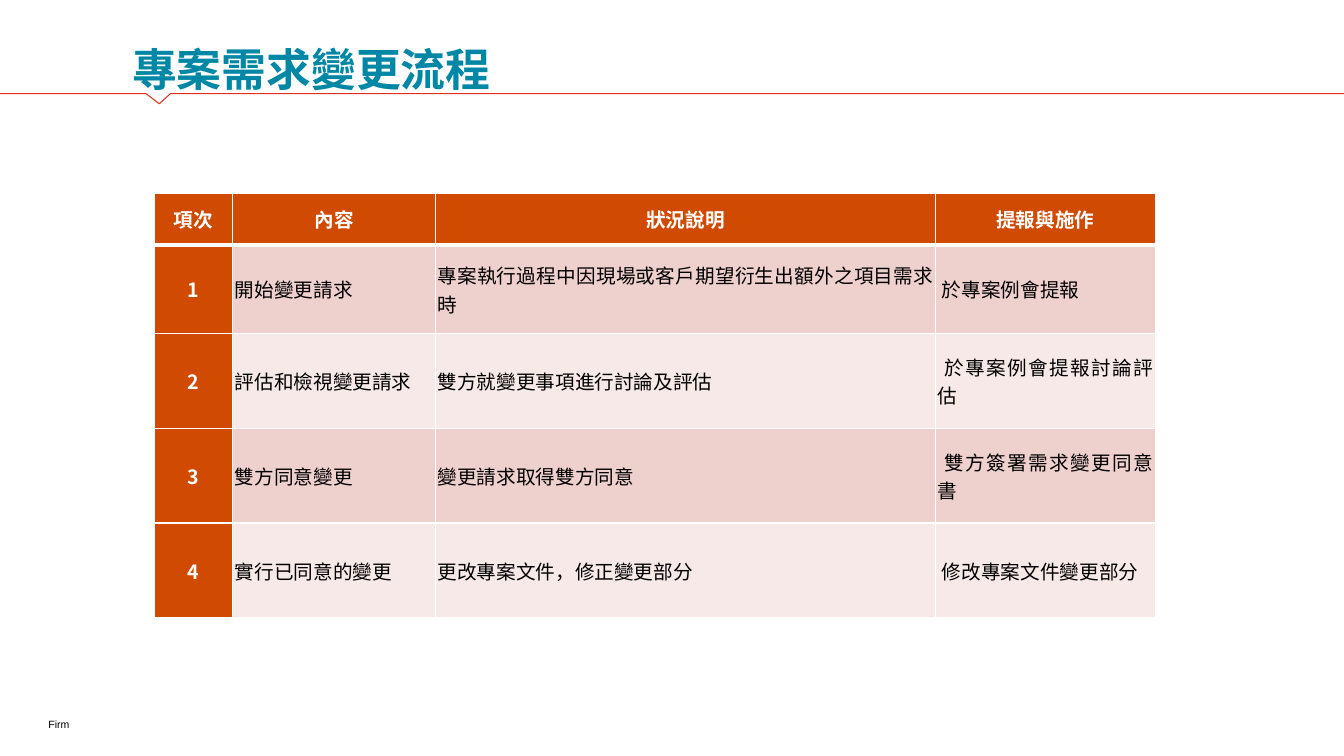
from dataclasses import dataclass

from lxml import etree
from pptx import Presentation
from pptx.dml.color import RGBColor
from pptx.enum.text import MSO_ANCHOR, PP_ALIGN
from pptx.oxml.ns import qn
from pptx.util import Inches, Pt

CENTER, LEFT, JUSTIFY = PP_ALIGN.CENTER, PP_ALIGN.LEFT, PP_ALIGN.JUSTIFY
MIDDLE, BOTTOM = MSO_ANCHOR.MIDDLE, MSO_ANCHOR.BOTTOM


@dataclass(frozen=True)
class Theme:
    teal: str = "0087A5"
    red: str = "E1301E"
    orange: str = "D04A02"
    band_dark: str = "EED0CC"
    band_light: str = "F7E9E7"
    white: str = "FFFFFF"
    black: str = "000000"
    cjk_font: str = "Noto Sans CJK SC"
    latin_font: str = "Arial"
    title_size: float = 32
    table_size: float = 14
    footer_size: float = 7.5


THEME = Theme()


@dataclass(frozen=True)
class TextStyle:
    size: float
    color: str
    bold: bool = False
    font: str = THEME.cjk_font


@dataclass(frozen=True)
class Label:
    text: str
    left: float
    top: float
    width: float
    height: float
    style: TextStyle
    anchor: MSO_ANCHOR
    inset_x: float = 0
    inset_y: float = 0
    line_spacing: float = 1.0


@dataclass(frozen=True)
class Step:
    content: str
    situation: str
    action: str


HEADER_STYLE = TextStyle(THEME.table_size, THEME.white, bold=True)
BODY_STYLE = TextStyle(THEME.table_size, THEME.black)

LABELS = [
    Label("Firm", 0.48, 7.1, 5.99, 0.15,
          TextStyle(THEME.footer_size, THEME.black, font=THEME.latin_font), BOTTOM),
    Label("專案需求變更流程", 1.18, 0.39, 10.8, 0.65,
          TextStyle(THEME.title_size, THEME.teal, bold=True), MIDDLE, 0.13, 0.07, 0.9),
]

HEADINGS = ["項次", "內容", "狀況說明", "提報與施作"]
STEPS = [
    Step("開始變更請求", "專案執行過程中因現場或客戶期望衍生出額外之項目需求時", " 於專案例會提報"),
    Step("評估和檢視變更請求", "雙方就變更事項進行討論及評估", " 於專案例會提報討論評估"),
    Step("雙方同意變更", "變更請求取得雙方同意", " 雙方簽署需求變更同意書"),
    Step("實行已同意的變更", "更改專案文件，修正變更部分", " 修改專案文件變更部分"),
]
COLUMN_WIDTHS = [0.78, 2.01, 4.96, 2.18]
ROW_HEIGHTS = [0.51, 0.88, 0.94, 0.94, 0.94]
BODY_ALIGNMENTS = [CENTER, LEFT, JUSTIFY, JUSTIFY]

RULE_POINTS = [(13.33, 0.93), (1.69, 0.93), (1.58, 1.03), (1.45, 0.93), (0, 0.93)]


def add_run(paragraph, text: str, style: TextStyle) -> None:
    run = paragraph.add_run()
    run.text = text
    font = run.font
    font.size, font.bold, font.name = Pt(style.size), style.bold, style.font
    font.color.rgb = RGBColor.from_string(style.color)
    etree.SubElement(run._r.get_or_add_rPr(), qn("a:ea"), typeface=style.font)


def add_label(slide, label: Label) -> None:
    box = slide.shapes.add_textbox(Inches(label.left), Inches(label.top),
                                   Inches(label.width), Inches(label.height))
    frame = box.text_frame
    frame.word_wrap = True
    frame.vertical_anchor = label.anchor
    frame.margin_left = frame.margin_right = Inches(label.inset_x)
    frame.margin_top = frame.margin_bottom = Inches(label.inset_y)
    paragraph = frame.paragraphs[0]
    paragraph.line_spacing = label.line_spacing
    add_run(paragraph, label.text, label.style)


def add_title_rule(slide) -> None:
    points = [(Inches(x), Inches(y)) for x, y in RULE_POINTS]
    builder = slide.shapes.build_freeform(*points[0])
    builder.add_line_segments(points[1:], close=False)
    rule = builder.convert_to_shape()
    rule.shadow.inherit = False
    rule.fill.background()
    rule.line.color.rgb = RGBColor.from_string(THEME.red)
    rule.line.width = Pt(0.75)


def set_borders(cell, top: float, bottom: float) -> None:
    properties = cell._tc.get_or_add_tcPr()
    for side, width in {"L": 1, "R": 1, "T": top, "B": bottom}.items():
        line = etree.SubElement(properties, qn(f"a:ln{side}"), w=str(Pt(width)))
        fill = etree.SubElement(line, qn("a:solidFill"))
        etree.SubElement(fill, qn("a:srgbClr"), val=THEME.white)


def fill_cell(cell, text: str, row: int, column: int) -> None:
    is_header = row == 0 or column == 0
    band = THEME.band_dark if row % 2 else THEME.band_light
    set_borders(cell, top=3 if row == 1 else 1, bottom=3 if row == 0 else 1)
    cell.fill.solid()
    cell.fill.fore_color.rgb = RGBColor.from_string(THEME.orange if is_header else band)
    cell.vertical_anchor = MIDDLE
    cell.margin_left = cell.margin_right = Inches(0.02)
    cell.margin_top = cell.margin_bottom = 0
    paragraph = cell.text_frame.paragraphs[0]
    paragraph.alignment = CENTER if is_header else BODY_ALIGNMENTS[column]
    paragraph.space_after = Pt(1.2)
    add_run(paragraph, text, HEADER_STYLE if is_header else BODY_STYLE)


def add_process_table(slide) -> None:
    rows = [HEADINGS] + [[str(number), step.content, step.situation, step.action]
                         for number, step in enumerate(STEPS, start=1)]
    table = slide.shapes.add_table(
        len(rows), len(HEADINGS), Inches(1.53), Inches(1.92),
        Inches(sum(COLUMN_WIDTHS)), Inches(sum(ROW_HEIGHTS))).table
    table.horz_banding = False
    for column, width in zip(table.columns, COLUMN_WIDTHS):
        column.width = Inches(width)
    for row, height in zip(table.rows, ROW_HEIGHTS):
        row.height = Inches(height)
    for r, texts in enumerate(rows):
        for c, text in enumerate(texts):
            fill_cell(table.cell(r, c), text, r, c)


def main() -> None:
    deck = Presentation()
    deck.slide_width, deck.slide_height = Inches(13.33), Inches(7.5)
    slide = deck.slides.add_slide(deck.slide_layouts[6])

    # Title rule with its notch, then footer and title
    add_title_rule(slide)
    for label in LABELS:
        add_label(slide, label)

    # Change process steps
    add_process_table(slide)
    deck.save("out.pptx")


if __name__ == "__main__":
    main()
